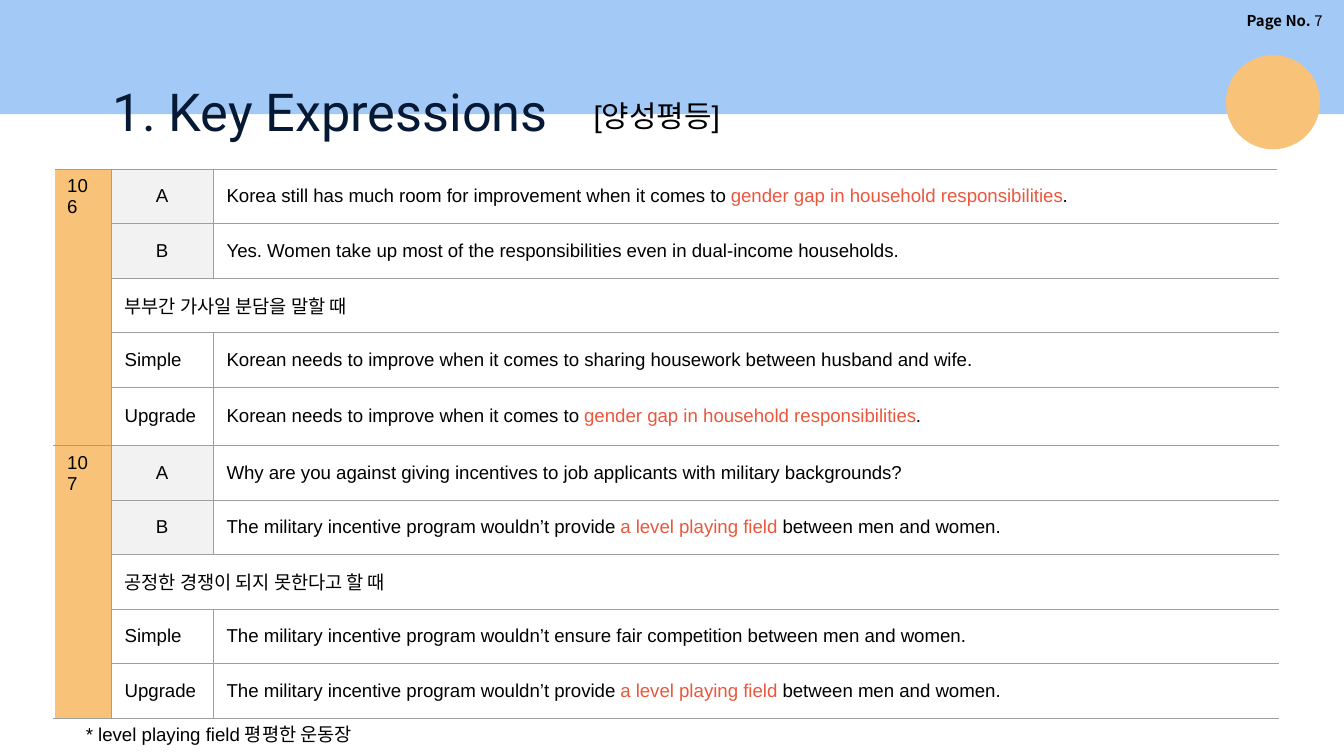
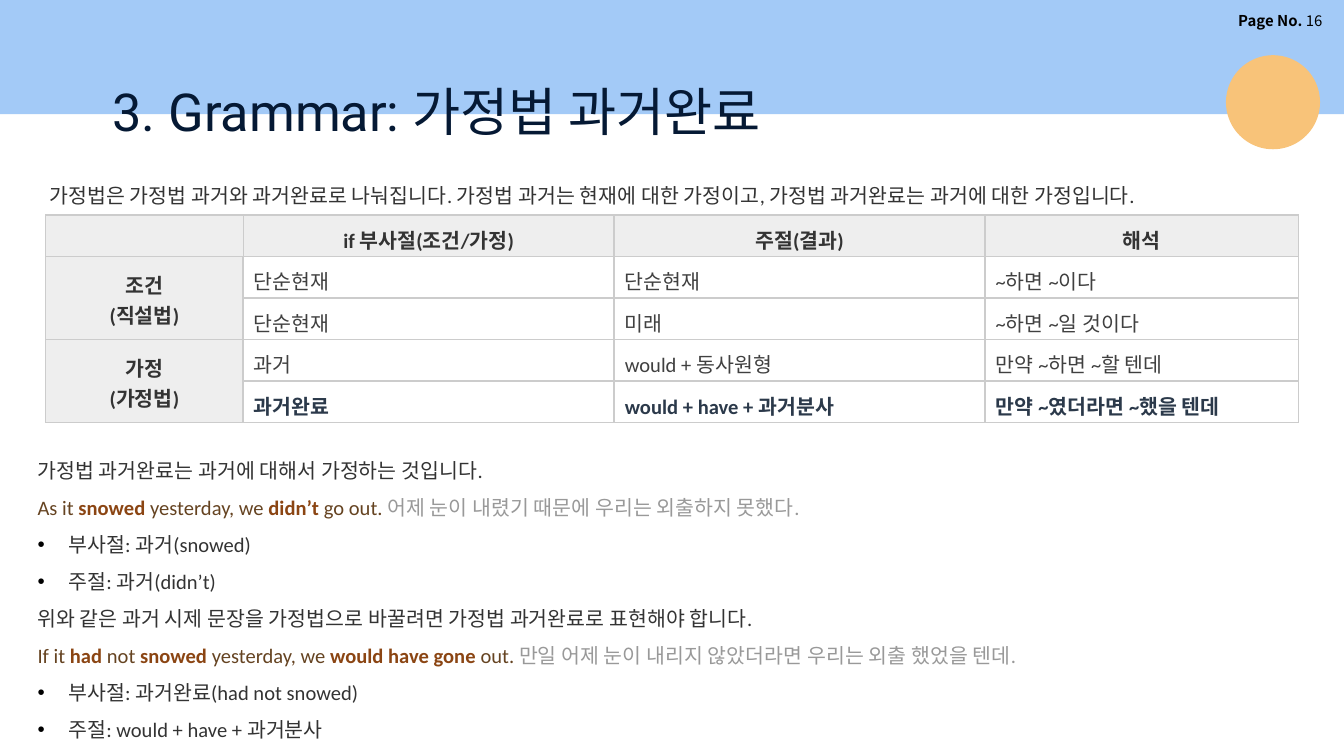
from dataclasses import dataclass, field
from typing import Any, NamedTuple

from lxml.etree import SubElement
from pptx import Presentation
from pptx.dml.color import RGBColor
from pptx.enum.shapes import MSO_SHAPE
from pptx.enum.text import MSO_ANCHOR, PP_ALIGN
from pptx.oxml.ns import qn
from pptx.slide import Slide
from pptx.table import Table
from pptx.util import Pt

BLUE, GOLD, NAVY, RED = "A3CAF7", "F8C379", "051934", "EB573D"
BLACK, WHITE, PALE, RULE = "000000", "FFFFFF", "F2F2F2", "9E9E9E"
DARK, SOFT, DEEP, HEAD, EDGE = "333333", "404040", "2B394A", "EEEEEE", "CCCCCC"
BROWN, RUST, GRAY = "654321", "8B4513", "999999"


class Look(NamedTuple):
    face: str
    size: float
    color: str
    bold: bool = False


class Bit(NamedTuple):
    text: str
    color: str = ""
    bold: bool | None = None
    face: str = ""


class Box(NamedTuple):
    left: float
    top: float
    width: float
    height: float


@dataclass
class Par:
    bits: list[Bit]
    align: Any = PP_ALIGN.LEFT
    space: float = 1.0
    mark: str = ""


@dataclass
class Cell:
    pars: list[Par] = field(default_factory=lambda: [Par([])])
    look: Look = Look("Arial", 10, BLACK)
    fill: str = ""
    lines: dict[str, tuple[str, float]] = field(default_factory=dict)
    pads: tuple[float, ...] = (7.2, 3.6, 7.2, 3.6)
    anchor: Any = MSO_ANCHOR.MIDDLE


TITLE = Look("Roboto", 28, NAVY)
PAGE = Look("Noto Sans CJK KR", 8, BLACK, True)
SMALL = Look("Arial", 10, BLACK)
BODY = Look("Calibri", 11, DARK)


def tint(code: str) -> RGBColor:
    return RGBColor.from_string(code)


def apply(item: Any, values: dict[str, Any]) -> None:
    for name, value in values.items():
        setattr(item, name, value)


def pad(item: Any, pads: tuple[float, ...]) -> None:
    sides = ("left", "top", "right", "bottom")
    apply(item, {f"margin_{side}": Pt(gap) for side, gap in zip(sides, pads)})


def add_bit(par: Any, bit: Bit, look: Look) -> None:
    for place, text in enumerate(bit.text.split("\n")):
        if place:
            par.add_line_break()
        run = par.add_run()
        run.text = text
        bold = look.bold if bit.bold is None else bit.bold
        apply(run.font, {"name": bit.face or look.face, "size": Pt(look.size), "bold": bold})
        run.font.color.rgb = tint(bit.color or look.color)


def add_mark(par: Any, mark: str) -> None:
    props = par._p.get_or_add_pPr()
    apply_at = {"marL": str(Pt(16.5)), "indent": str(-Pt(16.5))}
    for name, value in apply_at.items():
        props.set(name, value)
    SubElement(SubElement(props, qn("a:buClr")), qn("a:srgbClr"), val=BLACK)
    SubElement(props, qn("a:buFont"), typeface="Arial")
    SubElement(props, qn("a:buChar"), char=mark)


def write(frame: Any, pars: list[Par], look: Look) -> None:
    for place, data in enumerate(pars):
        par = frame.add_paragraph() if place else frame.paragraphs[0]
        if data.mark:
            add_mark(par, data.mark)
        apply(par, {"alignment": data.align, "line_spacing": data.space})
        for bit in data.bits:
            add_bit(par, bit, look)
        if not data.bits:
            SubElement(par._p, qn("a:endParaRPr"), sz=str(int(look.size * 100)))


def add_text(slide: Slide, box: Box, pars: list[Par], look: Look,
             pads: tuple[float, ...] = (7.2, 3.6, 7.2, 3.6),
             anchor: Any = MSO_ANCHOR.TOP) -> None:
    frame = slide.shapes.add_textbox(*map(Pt, box)).text_frame
    apply(frame, {"word_wrap": True, "vertical_anchor": anchor})
    pad(frame, pads)
    write(frame, pars, look)


def add_form(slide: Slide, kind: Any, box: Box, fill: str) -> None:
    shape = slide.shapes.add_shape(kind, *map(Pt, box))
    shape.shadow.inherit = False
    shape.fill.solid()
    shape.fill.fore_color.rgb = tint(fill)
    shape.line.fill.background()


def add_grid(slide: Slide, left: float, top: float, cols: list[float],
             high: float, count: int) -> Table:
    box = Box(left, top, sum(cols), high * count)
    grid = slide.shapes.add_table(count, len(cols), *map(Pt, box)).table
    apply(grid, {"first_row": False, "horz_banding": False})
    for col, width in zip(grid.columns, cols):
        col.width = Pt(width)
    for row in grid.rows:
        row.height = Pt(high)
    return grid


def put(grid: Table, row: int, col: int, data: Cell) -> None:
    cell = grid.cell(row, col)
    cell.vertical_anchor = data.anchor
    pad(cell, data.pads)
    props = cell._tc.get_or_add_tcPr()
    for side in "LRTB":
        color, width = data.lines[side]
        line = SubElement(props, qn(f"a:ln{side}"), w=str(Pt(width)))
        SubElement(SubElement(line, qn("a:solidFill")), qn("a:srgbClr"), val=color)
    if data.fill:
        cell.fill.solid()
        cell.fill.fore_color.rgb = tint(data.fill)
    else:
        cell.fill.background()
    write(cell.text_frame, data.pars, data.look)


def add_page(deck: Any, page: int, title: list[Bit], width: float) -> Slide:
    slide = deck.slides.add_slide(deck.slide_layouts[6])
    add_form(slide, MSO_SHAPE.RECTANGLE, Box(0, 0, 720, 61.2), BLUE)
    label = [Bit("Page No. "), Bit(str(page), bold=False)]
    add_text(slide, Box(610.6, 2.9, 104.4, 16.6), [Par(label, PP_ALIGN.RIGHT)],
             PAGE, (6.5, 3.6, 6.5, 3.6))
    add_text(slide, Box(53.3, 35.3, width, 45.4), [Par(title)], TITLE, (7.2,) * 4)
    add_form(slide, MSO_SHAPE.OVAL, Box(656.8, 29.6, 50.4, 50.4), GOLD)
    return slide


class Unit(NamedTuple):
    number: str
    ask: list[Bit]
    reply: list[Bit]
    note: str
    simple: str
    better: list[Bit]


GAP = Bit("gender gap in household responsibilities", RED)
FIELD = [Bit("The military incentive program wouldn’t provide "),
         Bit("a level playing field ", RED), Bit("between men and women.")]
UNITS = [
    Unit("106",
         [Bit("Korea still has much room for improvement when it comes to "), GAP, Bit(".")],
         [Bit("Yes. Women take up most of the responsibilities even in dual-income households.")],
         "부부간 가사일 분담을 말할 때",
         "Korean needs to improve when it comes to sharing housework between husband and wife.",
         [Bit("Korean needs to improve when it comes to "), GAP, Bit(".")]),
    Unit("107",
         [Bit("Why are you against giving incentives to job applicants with military backgrounds?")],
         FIELD,
         "공정한 경쟁이 되지 못한다고 할 때",
         "The military incentive program wouldn’t ensure fair competition between men and women.",
         FIELD),
]


def add_unit(grid: Table, first: int, unit: Unit) -> None:
    rows = [("A", unit.ask), ("B", unit.reply), (unit.note, []),
            ("Simple", [Bit(unit.simple)]), ("Upgrade", unit.better)]
    grid.cell(first, 0).merge(grid.cell(first + 4, 0))
    grid.cell(first + 2, 1).merge(grid.cell(first + 2, 2))
    ruled = dict.fromkeys("LRTB", (RULE, 0.75))
    for step, (tag, bits) in enumerate(rows):
        row = first + step
        number = [] if step else [Bit(unit.number)]
        put(grid, row, 0, Cell([Par(number)], SMALL, GOLD, ruled | {"L": (WHITE, 1)},
                               anchor=MSO_ANCHOR.TOP))
        talk = step < 2
        align = PP_ALIGN.CENTER if talk else PP_ALIGN.LEFT
        right = {"R": (WHITE, 1)}
        put(grid, row, 1, Cell([Par([Bit(tag)], align)], SMALL, PALE if talk else "",
                               ruled if bits else ruled | right))
        put(grid, row, 2, Cell([Par(bits)], SMALL, "", ruled | right))


def add_terms(deck: Any) -> None:
    slide = add_page(deck, 7, [Bit("1. Key Expressions")], 257.8)
    grid = add_grid(slide, 28.8, 90.7, [30.8, 54.6, 570.6], 29.2, 10)
    for place, unit in enumerate(UNITS):
        add_unit(grid, place * 5, unit)
    add_text(slide, Box(311, 49, 175.7, 26.6), [Par([Bit("[양성평등]")])],
             Look("Arial", 16, BLACK))
    add_text(slide, Box(38.9, 383.8, 394.6, 19.4),
             [Par([Bit("* level playing field 평평한 운동장")])], SMALL)


MOODS = [
    ["", "if 부사절(조건/가정)", "주절(결과)", "해석"],
    ["조건\n(직설법)", "단순현재", "단순현재", "~하면 ~이다"],
    ["", "단순현재", "미래", "~하면 ~일 것이다"],
    ["가정\n(가정법)", "과거", "would + 동사원형", "만약 ~하면 ~할 텐데"],
    ["", "과거완료", "would + have + 과거분사", "만약 ~였더라면 ~했을 텐데"],
]


def add_moods(slide: Slide) -> None:
    grid = add_grid(slide, 24.5, 115.2, [105.8, 198.7, 198.7, 167.8], 22.2, len(MOODS))
    for row in (1, 3):
        grid.cell(row, 0).merge(grid.cell(row + 1, 0))
    for row, texts in enumerate(MOODS):
        for col, text in enumerate(texts):
            head, last = row == 0 or col == 0, row == len(MOODS) - 1
            thin = {"L": head, "T": head, "R": row == 0 or col == 3, "B": last or col == 0}
            lines = {side: (EDGE, 0.75 if slim else 1) for side, slim in thin.items()}
            color = DARK if head else DEEP if last else SOFT
            look = Look("Calibri", 11, color, head or last)
            align = PP_ALIGN.CENTER if head else PP_ALIGN.LEFT
            pads = (7.2, 5, 7.2, 3.6) if head else (5.8, 5, 3.6, 3.6)
            bits = [Bit(text)] if text else []
            put(grid, row, col, Cell([Par(bits, align)], look, HEAD if head else WHITE,
                                     lines, pads))


def plain(text: str) -> Par:
    return Par([Bit(text)], space=1.5)


def point(text: str) -> Par:
    return Par([Bit(text)], space=1.5, mark="•")


def sample(parts: list[str], gloss: str) -> Par:
    bits = [Bit(text, RUST if place % 2 else BROWN, place % 2 == 1)
            for place, text in enumerate(parts)]
    return Par(bits + [Bit(gloss, GRAY)], space=1.5)


NOTES = [
    plain("가정법 과거완료는 과거에 대해서 가정하는 것입니다."),
    sample(["As it ", "snowed ", "yesterday, we ", "didn’t ", "go out. "],
           "어제 눈이 내렸기 때문에 우리는 외출하지 못했다."),
    point("부사절: 과거(snowed)"),
    point("주절: 과거(didn’t)"),
    plain("위와 같은 과거 시제 문장을 가정법으로 바꿀려면 가정법 과거완료로 표현해야 합니다."),
    sample(["If it ", "had ", "not ", "snowed ", "yesterday, we ", "would have gone ", "out. "],
           "만일 어제 눈이 내리지 않았더라면 우리는 외출 했었을 텐데."),
    point("부사절: 과거완료(had not snowed)"),
    point("주절: would + have + 과거분사"),
]


def add_grammar(deck: Any) -> None:
    title = [Bit("3. Grammar: "), Bit("가정법 과거완료", face="Arial")]
    slide = add_page(deck, 16, title, 556.6)
    intro = plain("가정법은 가정법 과거와 과거완료로 나눠집니다. 가정법 과거는 현재에 대한 "
                  "가정이고, 가정법 과거완료는 과거에 대한 가정입니다.")
    add_text(slide, Box(19.4, 88.6, 682.6, 25.2), [intro], BODY, anchor=MSO_ANCHOR.MIDDLE)
    add_moods(slide)
    add_text(slide, Box(13, 235.4, 682.6, 164.9), NOTES, BODY)


def main() -> None:
    deck = Presentation()
    apply(deck, {"slide_width": Pt(720), "slide_height": Pt(405)})
    add_terms(deck)
    add_grammar(deck)
    deck.save("out.pptx")


if __name__ == "__main__":
    main()
